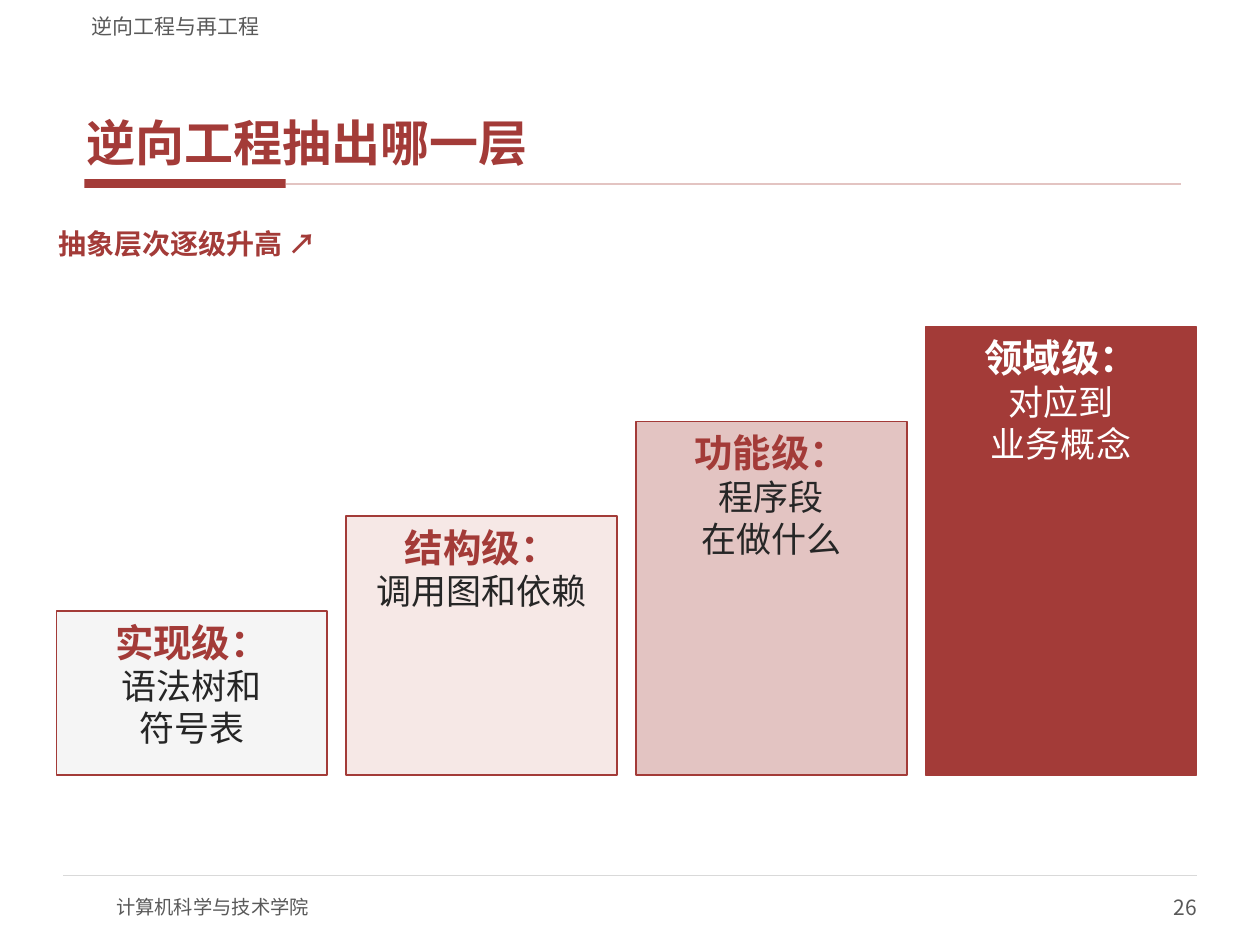
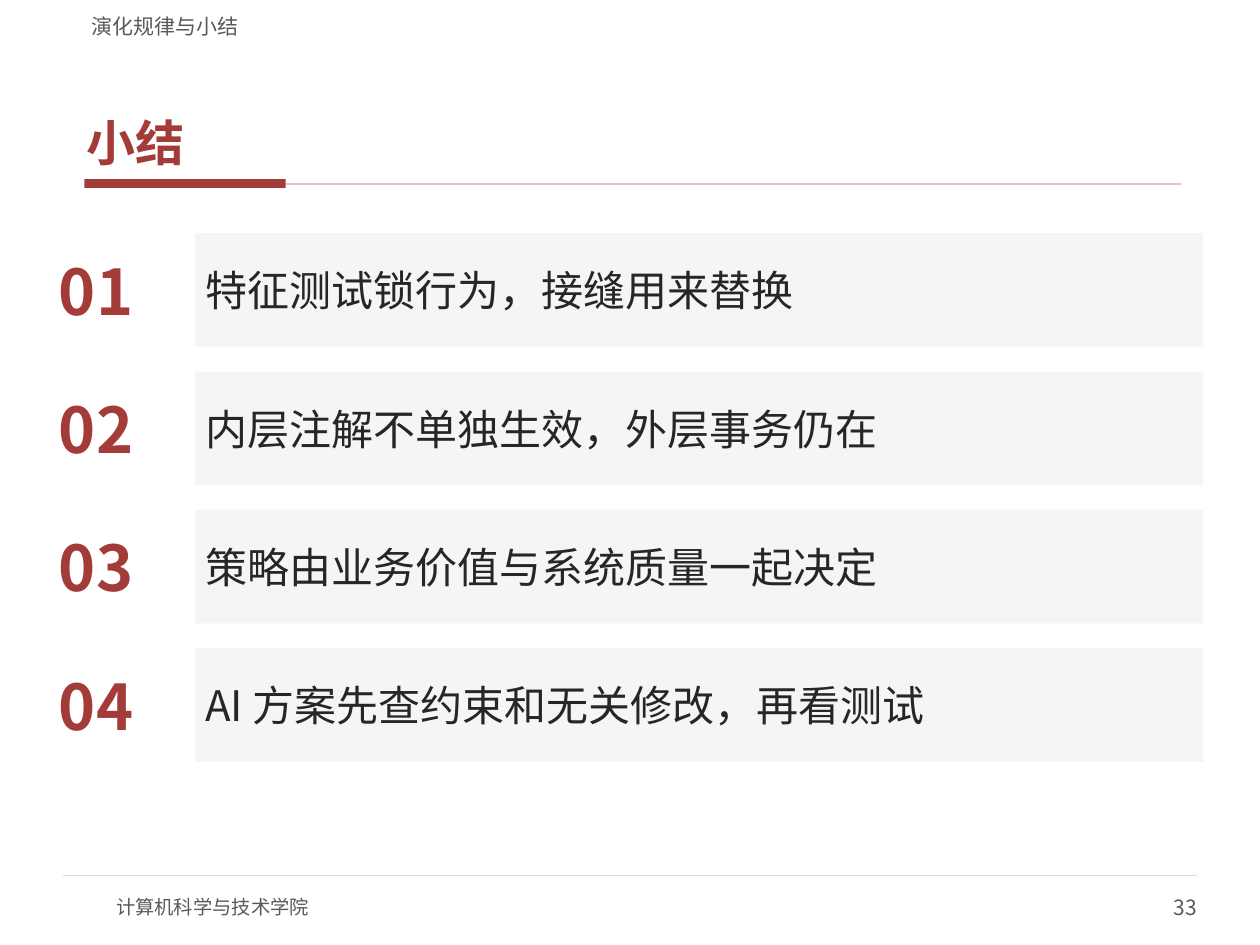
import pptx
import pptx.util
import pptx.dml.color
import pptx.enum.shapes
import pptx.enum.text
import pptx.oxml.ns
from lxml import etree

Cm = pptx.util.Cm
Pt = pptx.util.Pt
RGBColor = pptx.dml.color.RGBColor
Align = pptx.enum.text.PP_ALIGN
Anchor = pptx.enum.text.MSO_ANCHOR
qn = pptx.oxml.ns.qn

RED = RGBColor(0xA3, 0x3B, 0x38)
ROSE = RGBColor(0xE3, 0xC4, 0xC2)
BLUSH = RGBColor(0xF6, 0xE8, 0xE6)
PALE = RGBColor(0xF5, 0xF5, 0xF5)
RULE = RGBColor(0xD9, 0xD9, 0xD9)
GRAY = RGBColor(0x59, 0x59, 0x59)
INK = RGBColor(0x26, 0x26, 0x26)
WHITE = RGBColor(0xFF, 0xFF, 0xFF)

FONT = "Noto Sans CJK SC"
SCHOOL = "计算机科学与技术学院"


def write(p, text, size=12, color=INK, bold=False, align=Align.LEFT, after=0):
    """Fill a paragraph; each newline in the text becomes a line break."""
    p.text = text
    p.alignment = align
    p.space_after = Pt(after)
    for r in p.runs:
        r.font.size = Pt(size)
        r.font.bold = bold
        r.font.color.rgb = color
        r.font.name = FONT
        # Chinese glyphs take the East Asian typeface, not the Latin one
        ea = etree.SubElement(r.font._element, qn("a:ea"))
        ea.set("typeface", FONT)


class Deck:
    def __init__(self):
        self.prs = pptx.Presentation()
        self.prs.slide_width = Cm(25.4)
        self.prs.slide_height = Cm(19.05)
        self.s = None

    def slide(self, section, title, number):
        """Start a slide with the shared header, title rule and footer."""
        self.s = self.prs.slides.add_slide(self.prs.slide_layouts[6])
        self.box(1.7, 3.61, 4.06, 0.18, RED)
        self.line(5.77, 23.8, 3.71, ROSE, 1)
        self.line(1.27, 24.13, 17.65, RULE, 0.75)
        self.text(2.34, 17.78, 10.16, 1.02, SCHOOL, size=11, color=GRAY)
        self.text(19.05, 17.78, 5.08, 1.02, str(number), color=GRAY, align=Align.RIGHT)
        self.text(1.6, 0.84, 22.22, 2.67, title, inset=(0.15, 0.05),
                  anchor=Anchor.BOTTOM, size=28, color=RED, bold=True, after=2)
        self.text(1.6, 0.1, 22.22, 0.69, section, inset=(0.25, 0),
                  anchor=Anchor.BOTTOM, color=GRAY)

    def frame(self, sp, inset, anchor):
        tf = sp.text_frame
        tf.word_wrap = True
        tf.vertical_anchor = anchor
        tf.margin_left = tf.margin_right = Cm(inset[0])
        tf.margin_top = tf.margin_bottom = Cm(inset[1])
        return tf

    def text(self, x, y, w, h, text, inset=(0, 0), anchor=Anchor.MIDDLE, **style):
        sp = self.s.shapes.add_textbox(Cm(x), Cm(y), Cm(w), Cm(h))
        write(self.frame(sp, inset, anchor).paragraphs[0], text, **style)

    def box(self, x, y, w, h, fill, outline=None):
        sp = self.s.shapes.add_shape(pptx.enum.shapes.MSO_SHAPE.RECTANGLE,
                                     Cm(x), Cm(y), Cm(w), Cm(h))
        sp.shadow.inherit = False
        sp.fill.solid()
        sp.fill.fore_color.rgb = fill
        if outline is None:
            sp.line.fill.background()
        else:
            sp.line.color.rgb = outline
            sp.line.width = Pt(1)
        return sp

    def line(self, x1, x2, y, color, width):
        ln = self.s.shapes.add_connector(pptx.enum.shapes.MSO_CONNECTOR.STRAIGHT,
                                         Cm(x1), Cm(y), Cm(x2), Cm(y))
        ln.line.color.rgb = color
        ln.line.width = Pt(width)
        etree.SubElement(ln._element.spPr, qn("a:effectLst"))

    def step(self, x, y, w, h, fill, level, detail, head_color, body_color):
        sp = self.box(x, y, w, h, fill, RED)
        tf = self.frame(sp, (0.3, 0.15), Anchor.TOP)
        write(tf.paragraphs[0], level, size=22, color=head_color, bold=True,
              align=Align.CENTER)
        write(tf.add_paragraph(), detail, size=20, color=body_color, align=Align.CENTER)

    def point(self, y, h, number, text):
        self.text(1.14, y, 2.54, h, f"{number:02d}", inset=(0.05, 0.03),
                  size=36, color=RED, bold=True)
        bar = self.box(3.94, y, 20.32, h, PALE)
        write(self.frame(bar, (0.2, 0.1), Anchor.MIDDLE).paragraphs[0], text, size=24)


def build_levels(deck):
    deck.slide("逆向工程与再工程", "逆向工程抽出哪一层", 26)
    deck.text(1.14, 4.45, 12.7, 0.91, "抽象层次逐级升高 ↗", inset=(0.05, 0.03),
              size=16, color=RED, bold=True)
    levels = [
        ("实现级：", "语法树和\n符号表", PALE, RED, INK),
        ("结构级：", "调用图和依赖", BLUSH, RED, INK),
        ("功能级：", "程序段\n在做什么", ROSE, RED, INK),
        ("领域级：", "对应到\n业务概念", RED, WHITE, WHITE),
    ]
    base = 15.62
    for i, (level, detail, fill, head_color, body_color) in enumerate(levels):
        height = 3.3 + 1.91 * i
        deck.step(1.14 + 5.84 * i, base - height, 5.46, height, fill,
                  level, detail, head_color, body_color)


def build_summary(deck):
    deck.slide("演化规律与小结", "小结", 33)
    points = [
        "特征测试锁行为，接缝用来替换",
        "内层注解不单独生效，外层事务仍在",
        "策略由业务价值与系统质量一起决定",
        "AI 方案先查约束和无关修改，再看测试",
    ]
    for i, text in enumerate(points):
        deck.point(4.7 + 2.79 * i, 2.29, i + 1, text)


def main():
    deck = Deck()
    build_levels(deck)
    build_summary(deck)
    deck.prs.save("out.pptx")


if __name__ == "__main__":
    main()
